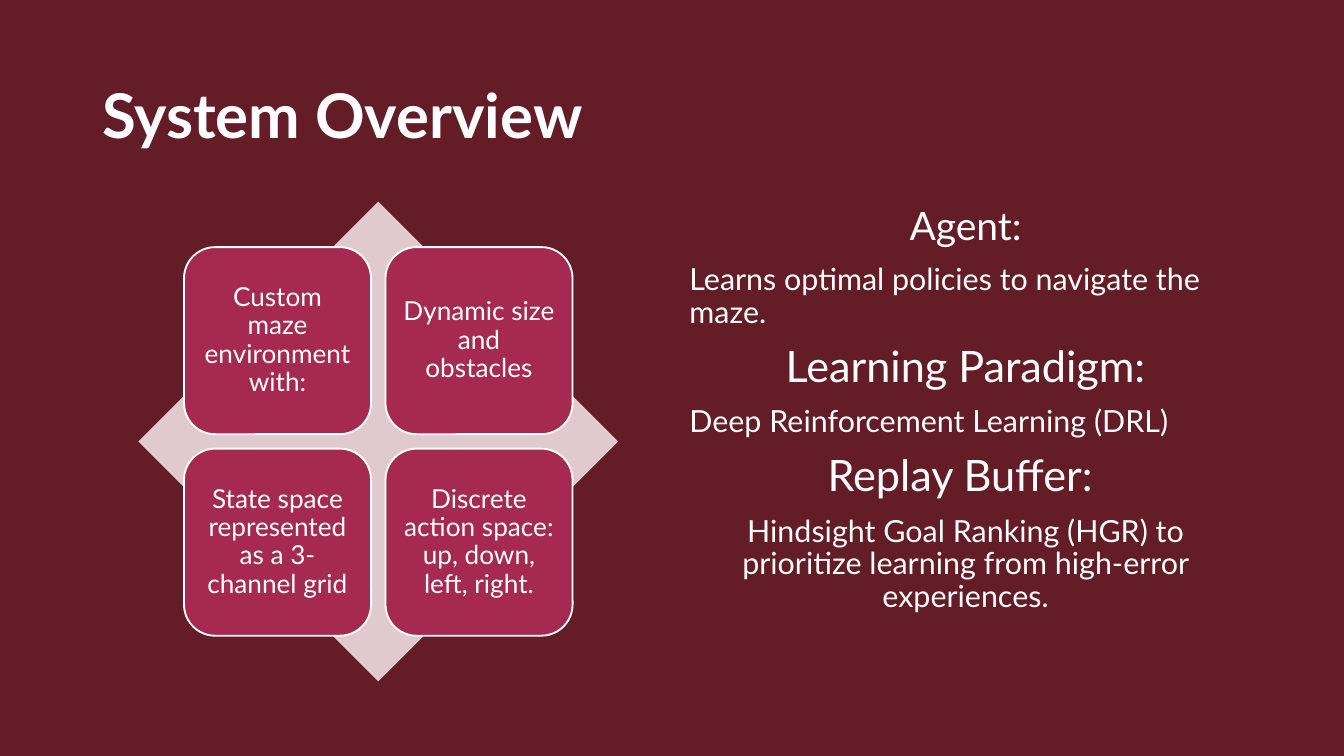
from pptx import Presentation
from pptx import util as u
from pptx.dml import color
from pptx.enum import shapes, text

WIDTH = 10
HEIGHT = WIDTH * 9 / 16
LEFT, CENTER = text.PP_ALIGN.LEFT, text.PP_ALIGN.CENTER
CARDS = [
    ["Custom maze environment with:", "Dynamic size and obstacles"],
    ["State space represented as a 3-channel grid",
     "Discrete action space: up, down, left, right."],
]
DETAILS = [
    ("Agent:", 20.9, CENTER),
    ("Learns optimal policies to navigate the maze.", 16.3, LEFT),
    ("Learning Paradigm:", 23.2, CENTER),
    ("Deep Reinforcement Learning (DRL)", 16.3, LEFT),
    ("Replay Buffer: ", 23.2, CENTER),
    ("Hindsight Goal Ranking (HGR) to prioritize learning from high-error "
     "experiences.", 16.3, CENTER),
]


def paint(target, value):
    """Give a fill a solid colour from a hex string."""
    target.solid()
    target.fore_color.rgb = color.RGBColor.from_string(value)


def assign(target, values):
    """Set attributes from a dict of format values."""
    for name, value in values.items():
        setattr(target, name, value)


def format_frame(frame, anchor, across, down):
    """Set the wrapping, anchor and insets of a text frame."""
    assign(frame, dict(
        word_wrap=True, auto_size=text.MSO_AUTO_SIZE.NONE,
        vertical_anchor=anchor,
        margin_left=u.Inches(across), margin_right=u.Inches(across),
        margin_top=u.Inches(down), margin_bottom=u.Inches(down)))


def write(para, words, size, align, bold=False, spacing=0.9, before=0):
    """Write one white paragraph."""
    assign(para, dict(alignment=align, line_spacing=spacing,
                      space_before=u.Pt(before)))
    span = para.add_run()
    span.text = words
    assign(span.font, dict(name="Lato", size=u.Pt(size), bold=bold))
    paint(span.font.fill, "FFFFFF")


def add_shape(page, kind, box, fill):
    """Add a flat filled shape without an outline."""
    shape = page.shapes.add_shape(kind, *map(u.Inches, box))
    shape.shadow.inherit = False
    paint(shape.fill, fill)
    shape.line.fill.background()
    return shape


def add_title(page, box, words):
    """Place and format the slide title."""
    title = page.shapes.title
    assign(title, dict(zip(("left", "top", "width", "height"),
                           map(u.Inches, box))))
    format_frame(title.text_frame, text.MSO_ANCHOR.MIDDLE, 0.07, 0.04)
    write(title.text_frame.paragraphs[0], words, 33, LEFT, True, 1.0)


def add_matrix(page, box, rows):
    """Draw a diamond with a two by two grid of cards over it."""
    left, top, side, _ = box
    add_shape(page, shapes.MSO_SHAPE.DIAMOND, box, "E0CACE")
    card, inset = 0.39 * side, 0.095 * side
    step = side - 2 * inset - card
    for row, line in enumerate(rows):
        for column, words in enumerate(line):
            place = (left + inset + column * step,
                     top + inset + row * step, card, card)
            shape = add_shape(page, shapes.MSO_SHAPE.ROUNDED_RECTANGLE,
                              place, "A62952")
            paint(shape.line.fill, "FFFFFF")
            shape.line.width = u.Pt(1)
            format_frame(shape.text_frame, text.MSO_ANCHOR.MIDDLE, 0.06, 0.06)
            write(shape.text_frame.paragraphs[0], words, 14, CENTER)


def add_details(page, box, details):
    """Write the headings and their explanations in one column."""
    frame = page.shapes.add_textbox(*map(u.Inches, box)).text_frame
    format_frame(frame, text.MSO_ANCHOR.TOP, 0.07, 0.04)
    for index, (words, size, align) in enumerate(details):
        para = frame.add_paragraph() if index else frame.paragraphs[0]
        write(para, words, size, align, before=8 if index else 0)


def main():
    """Build and save the deck."""
    deck = Presentation()
    assign(deck, dict(slide_width=u.Inches(WIDTH),
                      slide_height=u.Inches(HEIGHT)))
    page = deck.slides.add_slide(deck.slide_layouts.get_by_name("Title Only"))
    paint(page.background.fill, "641C26")
    margin, body_top, body_height = 0.69, 1.5, 3.57
    column = 4.25
    add_title(page, (margin, 0.3, WIDTH - 2 * margin, 1.09), "System Overview")
    add_matrix(page, (margin + (column - body_height) / 2, body_top,
                      body_height, body_height), CARDS)
    add_details(page, (WIDTH - margin - column, body_top,
                       column, body_height), DETAILS)
    deck.save("out.pptx")


if __name__ == "__main__":
    main()
